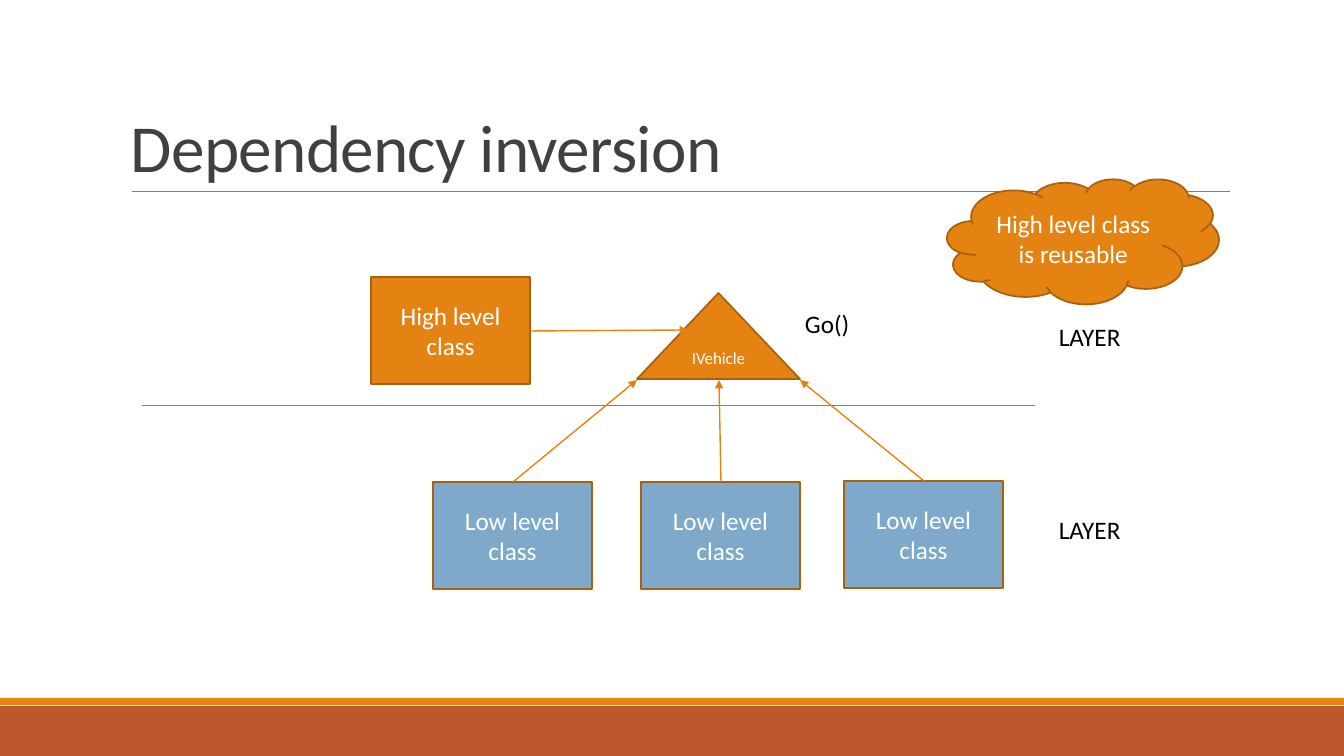
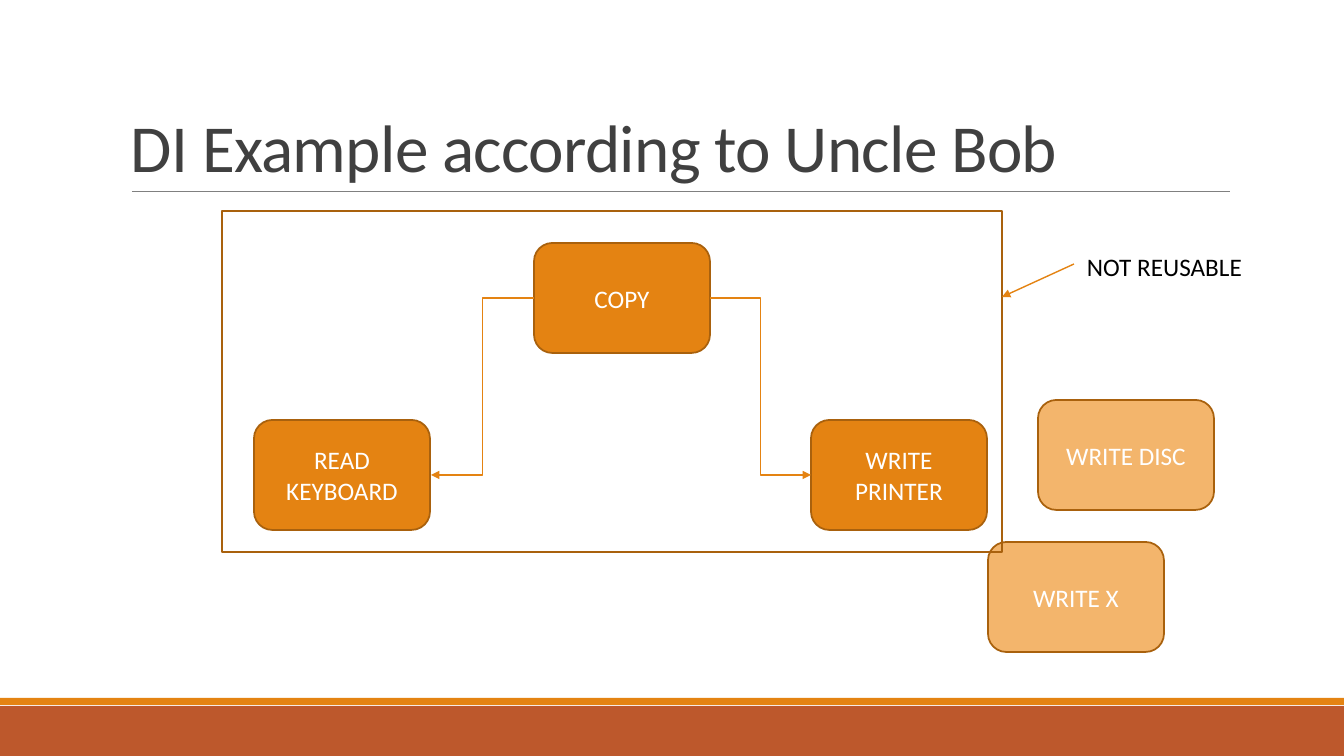
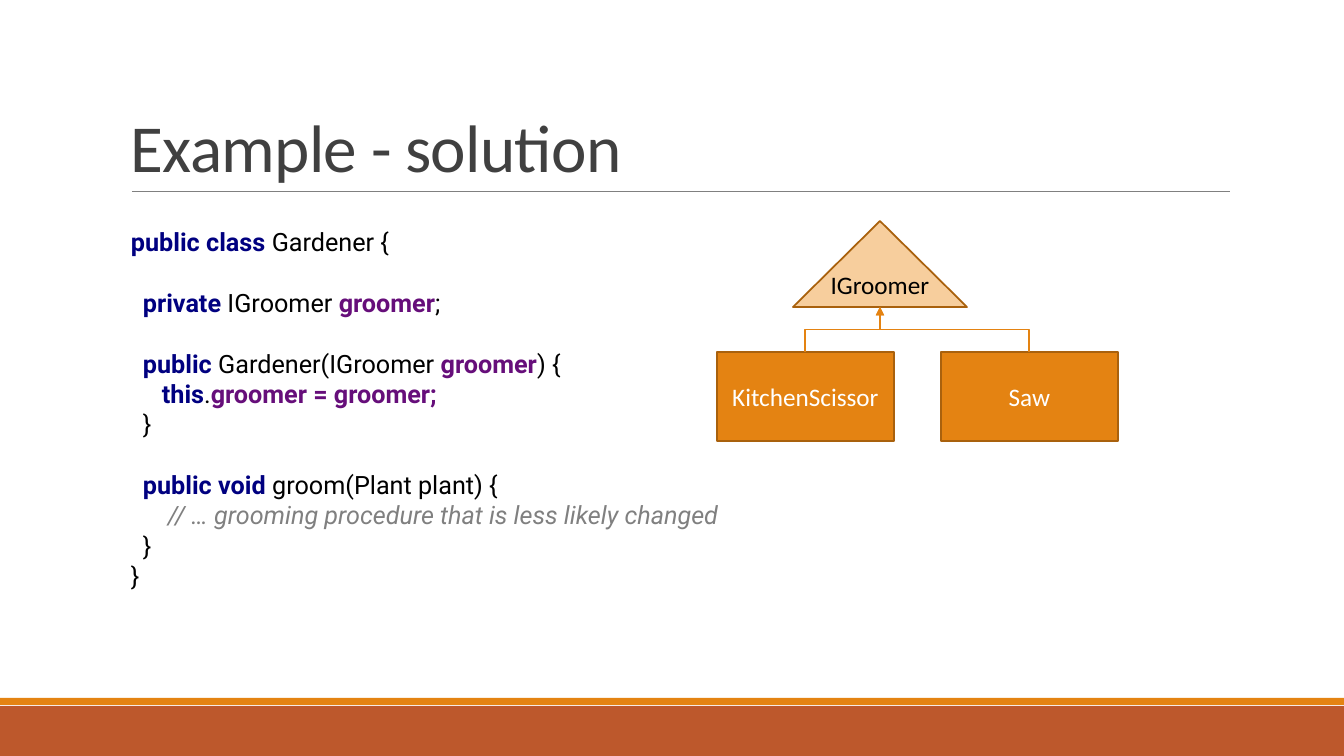
from lxml.etree import SubElement
from pptx import Presentation
from pptx.dml.color import RGBColor
from pptx.enum.shapes import MSO_CONNECTOR, MSO_SHAPE
from pptx.enum.text import MSO_ANCHOR, MSO_AUTO_SIZE, PP_ALIGN
from pptx.oxml.ns import qn
from pptx.util import Emu, Pt

COLORS = {
    "orange": "E48312", "rust": "BD582C", "outline": "A9610D", "blue": "7EA9CA",
    "light": "F3B56C", "pale": "F7CE9D", "gray": "808080", "title": "404040",
    "white": "FFFFFF", "black": "000000", "navy": "000080", "purple": "660E7A",
}
CODE_STYLES = {
    "key": {"color": "navy", "bold": True},
    "field": {"color": "purple", "bold": True},
    "note": {"color": "gray", "italic": True},
    "plain": {},
}
CODE = [
    (0, 0, [("key", "public class "), ("plain", "Gardener {")]),
    (12, 22, [("key", "private "), ("plain", "IGroomer "), ("field", "groomer"), ("plain", ";")]),
    (12, 22, [("key", "public "), ("plain", "Gardener(IGroomer "), ("field", "groomer"),
              ("plain", ") {")]),
    (31, 0, [("key", "this"), ("plain", "."), ("field", "groomer = groomer;")]),
    (12, 0, [("plain", "}")]),
    (12, 22, [("key", "public void "), ("plain", "groom(Plant plant) {")]),
    (37, 0, [("note", "// … grooming procedure that is less likely changed")]),
    (12, 0, [("plain", "}")]),
    (0, 0, [("plain", "}")]),
]


def px(v):
    return Emu(round(v * 914400 / 100.8))


def rgb(name):
    return RGBColor.from_string(COLORS[name])


def assign(target, values):
    for name, value in values.items():
        setattr(target, name, value)


def add_run(p, text, color="black", size=18, name="Calibri", **values):
    r = p.add_run()
    r.text = text
    assign(r.font, {"size": Pt(size), "name": name, **values})
    r.font.color.rgb = rgb(color)
    return r


def add_node(s, box, text="", fill="orange", kind=MSO_SHAPE.RECTANGLE, size=18,
             color="white", line="outline"):
    sp = s.shapes.add_shape(kind, *map(px, box))
    sp.shadow.inherit = False
    if fill:
        sp.fill.solid()
        sp.fill.fore_color.rgb = rgb(fill)
    else:
        sp.fill.background()
    if line:
        sp.line.color.rgb = rgb(line)
        sp.line.width = Pt(1.25)
    else:
        sp.line.fill.background()
    if text:
        tf = sp.text_frame
        assign(tf, {"word_wrap": True, "vertical_anchor": MSO_ANCHOR.MIDDLE})
        p = tf.paragraphs[0]
        p.alignment = PP_ALIGN.CENTER
        add_run(p, text, color, size)


def add_label(s, box, text, align=PP_ALIGN.LEFT):
    tf = s.shapes.add_textbox(*map(px, box)).text_frame
    assign(tf, {"word_wrap": False, "auto_size": MSO_AUTO_SIZE.SHAPE_TO_FIT_TEXT})
    p = tf.paragraphs[0]
    p.alignment = align
    add_run(p, text)


def add_line(s, start, end, color="orange", width=1, head=True, kind=MSO_CONNECTOR.STRAIGHT):
    cx = s.shapes.add_connector(kind, *map(px, (*start, *end)))
    cx.line.color.rgb = rgb(color)
    cx.line.width = Pt(width)
    if head:
        SubElement(cx.line._get_or_add_ln(), qn("a:tailEnd"), type="triangle")
    SubElement(cx._element.spPr, qn("a:effectLst"))
    return cx


def add_rising_elbow(s, start, end):
    (x1, y1), (x2, y2) = start, end
    mx, my = (x1 + x2) / 2, (y1 + y2) / 2
    u, v = (y2 - y1) / 2, (x1 - x2) / 2
    cx = add_line(s, (mx - u, my - v), (mx + u, my + v), kind=MSO_CONNECTOR.ELBOW)
    cx._element.spPr.find(qn("a:xfrm")).set("rot", "5400000")


def add_page(prs, title):
    s = prs.slides.add_slide(prs.slide_layouts[6])
    add_node(s, (0, 706, 1344, 50), fill="rust", line=None)
    add_node(s, (0, 698, 1344, 7), line=None)
    add_line(s, (132, 191), (1230, 191), "gray", 0.5, False)
    tf = s.shapes.add_textbox(*map(px, (121, 31, 1109, 160))).text_frame
    assign(tf, {"word_wrap": True, "vertical_anchor": MSO_ANCHOR.BOTTOM})
    p = tf.paragraphs[0]
    p.line_spacing = 0.85
    add_run(p, title, "title", 48).font._rPr.set("spc", "-50")
    return s


def add_layers(s, box):
    x, y, w, h = box
    add_node(s, (x + 229, y + 98, 159, 107), "High level class")
    add_line(s, (x, y + 226), (x + 893, y + 226), "gray", 0.5, False)
    for top in (137, 330):
        add_label(s, (x + 907, y + top, 83, 40), "LAYER")
    add_node(s, (x + 495, y + 114, 163, 86), "IVehicle",
             kind=MSO_SHAPE.ISOSCELES_TRIANGLE, size=12)
    add_line(s, (x + 388, y + 152), (x + 546, y + 151))
    for left, top, target in ((291, 303, 495), (499, 303, 577), (702, 302, 658)):
        add_node(s, (x + left, y + top, 159, 107), "Low level class", "blue")
        add_line(s, (x + left + 80, y + top), (x + target, y + 201))
    add_node(s, (x + w - 272, y, 272, 125), "High level class is reusable",
             kind=MSO_SHAPE.CLOUD)
    add_label(s, (x + 653, y + 124, 66, 40), "Go()")


def add_copier(s, box):
    x, y, w, h = box
    modules = [
        (312, 32, "COPY", "orange"),
        (32, 209, "READ KEYBOARD", "orange"),
        (589, 209, "WRITE PRINTER", "orange"),
        (816, 189, "WRITE DISC", "light"),
        (766, 331, "WRITE X", "light"),
    ]
    for left, top, text, fill in modules:
        add_node(s, (x + left, y + top, 176, 110), text, fill, MSO_SHAPE.ROUNDED_RECTANGLE)
    for start, end in ((312, 209), (488, 589)):
        add_line(s, (x + start, y + 87), (x + end, y + 264), kind=MSO_CONNECTOR.ELBOW)
    add_node(s, box, fill=None)
    add_line(s, (x + 852, y + 53), (x + w, y + 86))
    add_label(s, (x + 855, y + 35, 176, 40), "NOT REUSABLE")


def add_code(s, box):
    tf = s.shapes.add_textbox(*map(px, box)).text_frame
    tf.word_wrap = True
    for i, (indent, gap, parts) in enumerate(CODE):
        p = tf.add_paragraph() if i else tf.paragraphs[0]
        p.space_before = Pt(gap)
        p._p.get_or_add_pPr().set("marL", str(px(indent)))
        for style, text in parts:
            add_run(p, text, name="Roboto", **CODE_STYLES[style])


def add_classes(s, box):
    x, y, w, h = box
    add_node(s, (x + 76, y, 174, 86), fill="pale", kind=MSO_SHAPE.ISOSCELES_TRIANGLE)
    add_label(s, (x + 103, y + 43, 120, 40), "IGroomer", PP_ALIGN.CENTER)
    for left, text in ((0, "KitchenScissor"), (w - 177, "Saw")):
        add_node(s, (x + left, y + h - 89, 177, 89), text)
        add_rising_elbow(s, (x + left + 88, y + h - 89), (x + 163, y + 86))


prs = Presentation()
assign(prs, {"slide_width": px(1344), "slide_height": px(756)})

add_layers(add_page(prs, "Dependency inversion"), (142, 179, 1077, 409))
add_copier(add_page(prs, "DI Example according to Uncle Bob"), (222, 211, 780, 341))
solution = add_page(prs, "Example - solution")
add_code(solution, (121, 221, 672, 377))
add_classes(solution, (717, 221, 401, 220))

prs.save("out.pptx")
